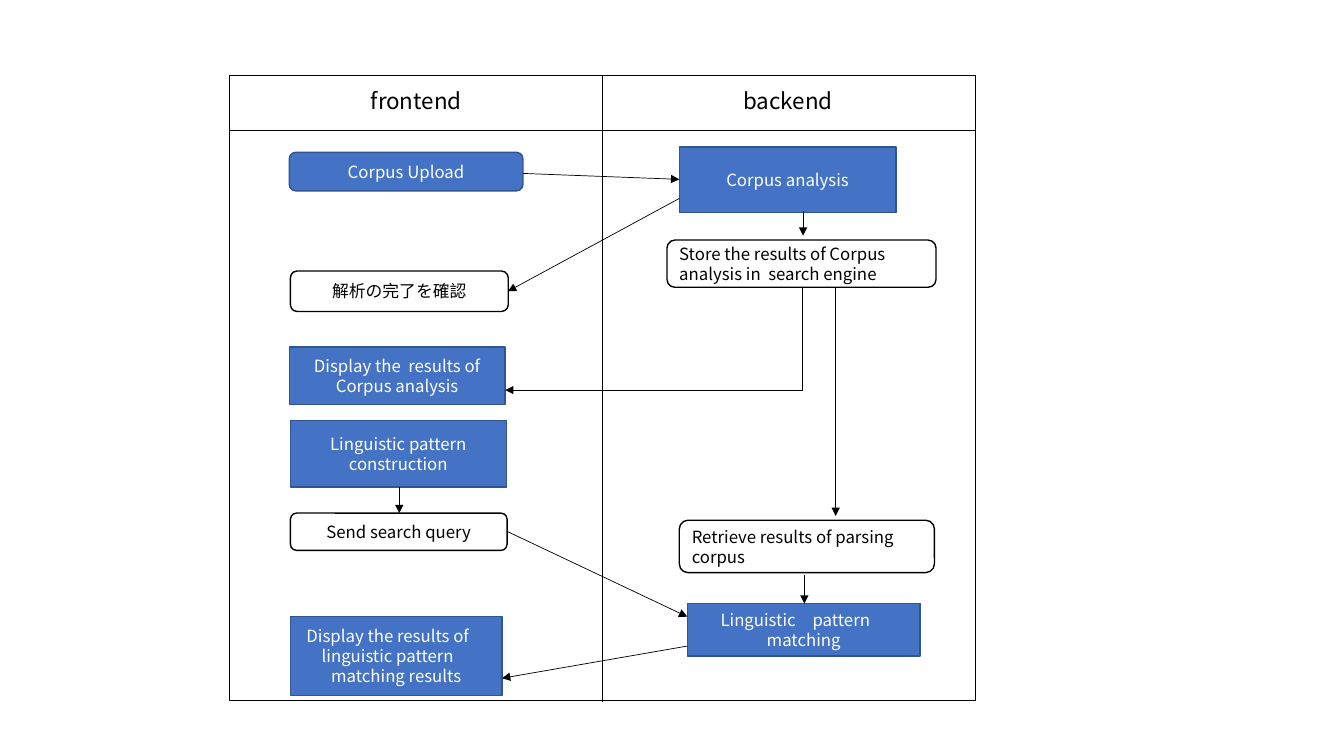
from lxml.etree import SubElement
from pptx import Presentation
from pptx.dml.color import RGBColor
from pptx.enum.shapes import MSO_CONNECTOR as Connector, MSO_SHAPE as Shape
from pptx.enum.text import MSO_ANCHOR as Anchor, PP_ALIGN as Align
from pptx.oxml.ns import qn
from pptx.util import Cm, Pt

COLOURS = {"blue": "4472C4", "edge": "325491", "white": "FFFFFF", "black": "000000"}
FONT = "Noto Sans CJK JP"

FRAME = (5.79, 1.9, 18.8, 15.75)
DIVIDERS = [(5.79, 3.28, 24.59, 3.28), (15.19, 1.9, 15.19, 17.68)]
HEADINGS = [("frontend", 5.79, 2.08), ("backend", 15.16, 2.06)]
PROCESSES = [
    ("Corpus analysis", 17.12, 3.71, 5.46, 1.65),
    ("Linguistic　pattern　matching", 17.32, 15.21, 5.87, 1.32),
    ("Linguistic pattern construction", 7.32, 10.59, 5.44, 1.68),
    ("Display the  results of Corpus analysis", 7.29, 8.74, 5.44, 1.45),
    ("Display the results of　linguistic pattern　matching results",
     7.32, 15.54, 5.33, 1.98),
]
UPLOAD = ("Corpus Upload", 7.29, 3.84, 5.89, 0.97)
STORAGE_STEPS = [
    ("Store the results of Corpus analysis in  search engine", 16.81, 6.05, 6.78, 1.19),
    ("Retrieve results of parsing corpus", 17.12, 13.11, 6.43, 1.32),
]
USER_STEPS = [
    ("解析の完了を確認", 7.32, 6.83, 5.49, 1.02),
    ("Send search query", 7.32, 12.93, 5.46, 0.94),
]
ARROWS = [
    (13.18, 4.37, 17.12, 4.52),
    (17.12, 5.0, 12.8, 7.34),
    (20.24, 5.31, 20.24, 5.94),
    (21.06, 7.24, 21.06, 13.0),
    (10.06, 12.27, 10.06, 12.93),
    (12.78, 13.39, 17.32, 15.54),
    (20.27, 14.48, 20.27, 15.21),
    (17.32, 16.28, 12.65, 17.09),
]
RESULTS_ARROW = (20.22, 7.24, 12.73, 9.83)


def colour(name):
    """Return the named colour."""
    return RGBColor.from_string(COLOURS[name])


class FlowPage:
    """Draws swimlane elements on one page in a shared style."""

    def __init__(self, page):
        """Keep the page to draw on."""
        self.page = page

    def label(self, frame, text, size, ink, align):
        """Put one styled paragraph in a text frame."""
        frame.word_wrap = True
        para = frame.paragraphs[0]
        para.text = text
        para.alignment = align
        para.font.size = Pt(size)
        para.font.name = FONT
        para.font.color.rgb = colour(ink)
        for span in para.runs:
            SubElement(span._r.get_or_add_rPr(), qn("a:ea")).set("typeface", FONT)

    def outline(self, left, top, width, height):
        """Draw the unfilled border around the lanes."""
        box = self.page.shapes.add_shape(
            Shape.FLOWCHART_PROCESS, Cm(left), Cm(top), Cm(width), Cm(height))
        box.shadow.inherit = False
        box.fill.background()
        box.line.color.rgb = colour("black")
        box.line.width = Pt(0.75)

    def heading(self, text, left, top):
        """Add a lane heading."""
        box = self.page.shapes.add_textbox(Cm(left), Cm(top), Cm(9.4), Cm(0.94))
        self.label(box.text_frame, text, 16, "black", Align.CENTER)

    def step(self, text, left, top, width, height, kind=Shape.ROUNDED_RECTANGLE,
             fill="white", edge="black", ink="black", align=Align.CENTER):
        """Draw one labelled step."""
        box = self.page.shapes.add_shape(kind, Cm(left), Cm(top), Cm(width), Cm(height))
        box.shadow.inherit = False
        box.fill.solid()
        box.fill.fore_color.rgb = colour(fill)
        box.line.color.rgb = colour(edge)
        box.line.width = Pt(1)
        box.text_frame.vertical_anchor = Anchor.MIDDLE
        self.label(box.text_frame, text, 12, ink, align)

    def process(self, *step, kind=Shape.RECTANGLE):
        """Draw a blue step."""
        self.step(*step, kind=kind, fill="blue", edge="edge", ink="white")

    def line(self, x1, y1, x2, y2, arrow=False, kind=Connector.STRAIGHT):
        """Draw a thin line, with an arrowhead at its end if asked."""
        link = self.page.shapes.add_connector(kind, Cm(x1), Cm(y1), Cm(x2), Cm(y2))
        link.line.color.rgb = colour("black")
        link.line.width = Pt(0.5)
        properties = link._element.spPr
        if arrow:
            SubElement(properties.find(qn("a:ln")), qn("a:tailEnd")).set("type", "triangle")
        SubElement(properties, qn("a:effectLst"))
        return link

    def down_left_arrow(self, x1, y1, x2, y2):
        """Draw an arrow that runs down and then left, as a quarter-turned elbow."""
        middle_x, middle_y = (x1 + x2) / 2, (y1 + y2) / 2
        half_width, half_height = (y2 - y1) / 2, (x1 - x2) / 2
        link = self.line(middle_x - half_width, middle_y - half_height,
                         middle_x + half_width, middle_y + half_height,
                         arrow=True, kind=Connector.ELBOW)
        properties = link._element.spPr
        properties.find(qn("a:xfrm")).set("rot", str(90 * 60000))
        properties.find(qn("a:prstGeom")).set("prst", "bentConnector2")


def main():
    """Build the deck and save it."""
    deck = Presentation()
    deck.slide_width, deck.slide_height = Cm(33.87), Cm(19.05)
    flow = FlowPage(deck.slides.add_slide(deck.slide_layouts[6]))
    flow.outline(*FRAME)
    for divider in DIVIDERS:
        flow.line(*divider)
    for heading in HEADINGS:
        flow.heading(*heading)
    for process in PROCESSES:
        flow.process(*process)
    flow.process(*UPLOAD, kind=Shape.ROUNDED_RECTANGLE)
    for step in STORAGE_STEPS:
        flow.step(*step, align=Align.LEFT)
    for step in USER_STEPS:
        flow.step(*step)
    for arrow in ARROWS:
        flow.line(*arrow, arrow=True)
    flow.down_left_arrow(*RESULTS_ARROW)
    deck.save("out.pptx")


if __name__ == "__main__":
    main()
